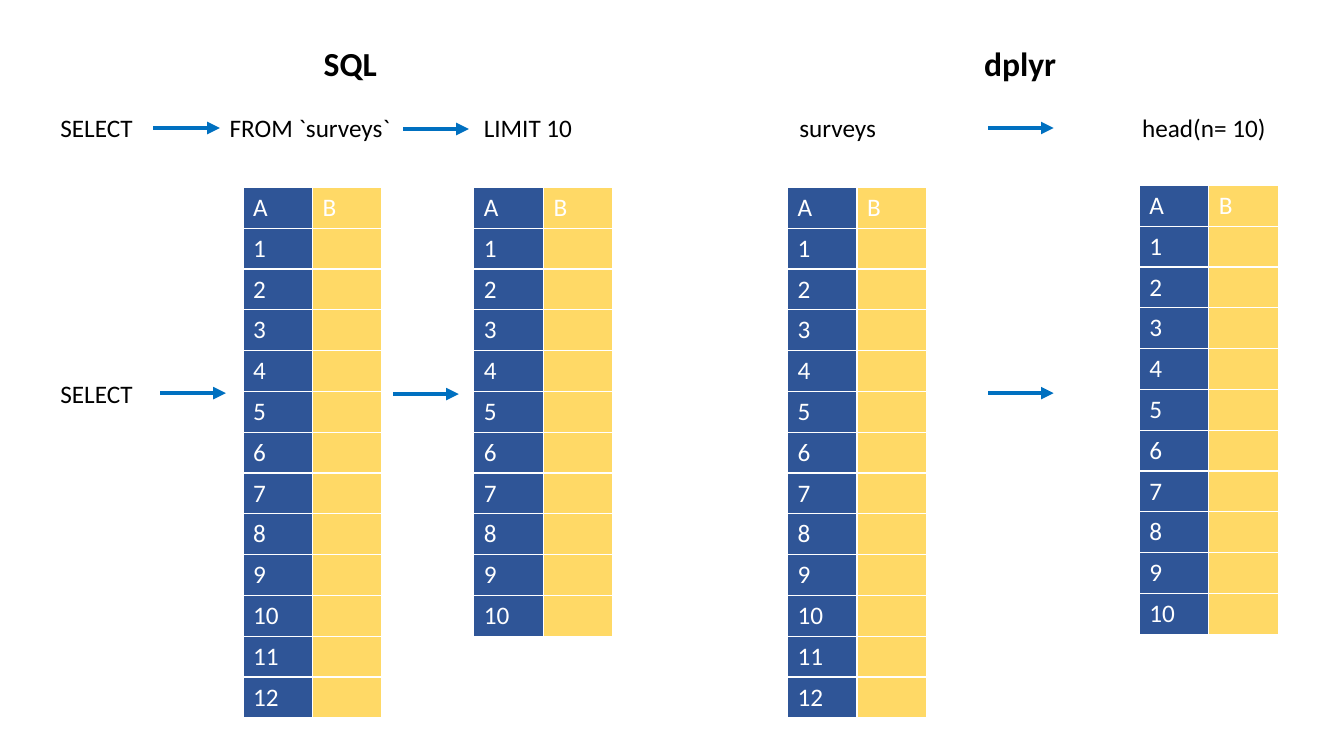
from pptx import Presentation
from pptx.dml.color import RGBColor
from pptx.enum.shapes import MSO_CONNECTOR as Conn
from pptx.enum.text import MSO_ANCHOR as Anchor, MSO_AUTO_SIZE as Auto, PP_ALIGN as Align
from pptx.oxml.ns import qn
from pptx.util import Inches, Pt
from lxml.etree import SubElement

WIDE, HIGH = 13.33, 7.5
BLUE, GOLD, ARROW = "2F5597", "FFD966", "0070C0"
COL, ROW = 0.69, 0.405
LINE, LABEL, GRID, MID = 0.69, 0.4, 1.48, 3.52
REACH = 0.65


def paint(part, tone):
    """Set a colour format to a hex colour."""
    part.rgb = RGBColor.from_string(tone)


def write(frame, words, size=18, tone="000000", bold=False):
    """Put one formatted line of text in a text frame."""
    line = frame.paragraphs[0]
    line.alignment = Align.LEFT
    line.space_before = Pt(0)
    run = line.add_run()
    run.text = words
    run.font.name, run.font.size, run.font.bold = "Calibri", Pt(size), bold
    paint(run.font.color, tone)


def label(slide, words, x, y, w):
    """Add a step label and return its shape."""
    box = slide.shapes.add_textbox(*map(Inches, (x, y, w, LABEL)))
    box.text_frame.word_wrap = True
    write(box.text_frame, words)
    return box


def head(slide, slot, words, x, y, w):
    """Place a heading in the layout's heading placeholder."""
    box = slide.placeholders[slot]
    box.left, box.top, box.width, box.height = map(Inches, (x, y, w, 0.5))
    frame = box.text_frame
    frame.auto_size, frame.word_wrap = Auto.NONE, True
    frame.vertical_anchor = Anchor.TOP
    write(frame, words, size=24, bold=True)


def arrow(slide, x, y):
    """Add a blue arrow pointing right and return it."""
    link = slide.shapes.add_connector(
        Conn.STRAIGHT, *map(Inches, (x, y, x + REACH, y)))
    link.line.width = Pt(3)
    paint(link.line.color, ARROW)
    props = link._element.spPr
    SubElement(props.find(qn("a:ln")), qn("a:tailEnd"), type="triangle")
    SubElement(props, qn("a:effectLst"))
    return link


def grid(slide, x, y, count):
    """Add a two-column table with numbered rows."""
    rows = count + 1
    table = slide.shapes.add_table(
        rows, 2, *map(Inches, (x, y, 2 * COL, rows * ROW))).table
    for col in table.columns:
        col.width = Inches(COL)
    names = [("A", "B")] + [(str(n), "") for n in range(1, rows)]
    for r, pair in enumerate(names):
        table.rows[r].height = Inches(ROW)
        for c, (words, tone) in enumerate(zip(pair, (BLUE, GOLD))):
            cell = table.cell(r, c)
            cell.fill.solid()
            paint(cell.fill.fore_color, tone)
            if words:
                write(cell.text_frame, words, tone="FFFFFF")


def sql(slide, x, y):
    """Draw the SQL region from its top left corner."""
    head(slide, 1, "SQL", x + 2.61, y, 0.74)
    pick = label(slide, "SELECT", x, y + LINE, 1.02)
    source = label(slide, "FROM `surveys`", x + 1.68, y + LINE, 1.87)
    label(slide, "LIMIT 10", x + 4.2, y + LINE, 1.14)
    label(slide, "SELECT", x, y + LINE + 2.63, 1.02)
    link = arrow(slide, x + 1.02, y + LINE + LABEL / 2)
    link.begin_connect(pick, 3)
    link.end_connect(source, 1)
    arrow(slide, x + 3.5, y + 0.9)
    arrow(slide, x + 1.09, y + MID)
    arrow(slide, x + 3.4, y + MID + 0.01)
    grid(slide, x + 1.91, y + GRID, 12)
    grid(slide, x + 4.2, y + GRID, 10)


def dplyr(slide, x, y):
    """Draw the dplyr region from its top left corner."""
    head(slide, 3, "dplyr", x + 1.85, y, 1.14)
    label(slide, "surveys", x + 0.02, y + LINE, 1.02)
    label(slide, "head(n= 10)", x + 3.42, y + LINE, 1.46)
    for drop in (LINE + LABEL / 2, MID):
        arrow(slide, x + 1.99, y + drop)
    grid(slide, x, y + GRID, 12)
    grid(slide, x + 3.49, y + GRID - 0.02, 10)


def main():
    """Build and save the slide."""
    deck = Presentation()
    deck.slide_width, deck.slide_height = Inches(WIDE), Inches(HIGH)
    slide = deck.slides.add_slide(deck.slide_layouts[4])
    sql(slide, 0.5, 0.38)
    dplyr(slide, 7.81, 0.38)
    for slot in list(slide.placeholders):
        if not slot.has_text_frame or not slot.text_frame.text:
            slot._element.getparent().remove(slot._element)
    deck.save("out.pptx")


if __name__ == "__main__":
    main()
